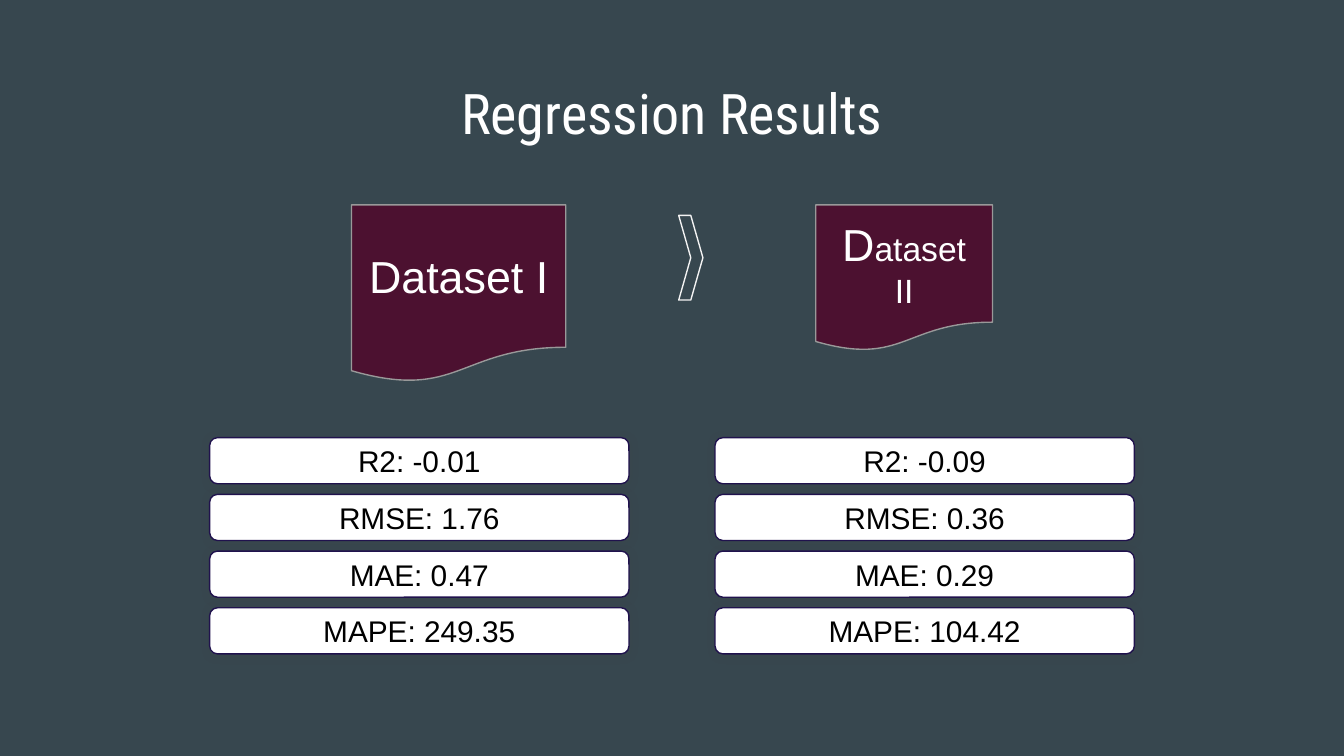
from lxml.etree import SubElement
from pptx import Presentation
from pptx.dml.color import RGBColor
from pptx.enum.shapes import MSO_SHAPE
from pptx.enum.text import MSO_ANCHOR, PP_ALIGN
from pptx.oxml.ns import qn
from pptx.util import Inches, Pt

SLATE = RGBColor(0x37, 0x47, 0x4F)
WINE = RGBColor(0x4C, 0x11, 0x30)
GREY = RGBColor(0x99, 0x99, 0x99)
PALE = RGBColor(0xF3, 0xF3, 0xF3)
INDIGO = RGBColor(0x20, 0x12, 0x4D)
CHARCOAL = RGBColor(0x43, 0x43, 0x43)
WHITE = RGBColor(0xFF, 0xFF, 0xFF)
BLACK = RGBColor(0x00, 0x00, 0x00)

deck = Presentation()
deck.slide_width = Inches(10)
deck.slide_height = deck.slide_width * 9 // 16
COLUMN = deck.slide_width / 100
ROW = deck.slide_height / 100
slide = deck.slides.add_slide(deck.slide_layouts[6])
slide.background.fill.solid()
slide.background.fill.fore_color.rgb = SLATE


def write(holder, *pieces, color, font="Arial", anchor=MSO_ANCHOR.MIDDLE):
    frame = holder.text_frame
    frame.word_wrap = True
    frame.vertical_anchor = anchor
    frame.margin_left = frame.margin_right = Inches(0.1)
    frame.margin_top = frame.margin_bottom = Inches(0.1)
    line = frame.paragraphs[0]
    line.alignment = PP_ALIGN.CENTER
    for words, size in pieces:
        piece = line.add_run()
        piece.text = words
        piece.font.name = font
        piece.font.size = Pt(size)
        piece.font.color.rgb = color


def draw(kind, left, top, width, height, fill, outline):
    figure = slide.shapes.add_shape(
        kind, *(round(n) for n in (left * COLUMN, top * ROW, width * COLUMN, height * ROW)))
    figure.shadow.inherit = False
    if fill is None:
        figure.fill.background()
    else:
        figure.fill.solid()
        figure.fill.fore_color.rgb = fill
    figure.line.color.rgb = outline
    figure.line.width = Pt(0.75)
    return figure


title = slide.shapes.add_textbox(
    *(round(n) for n in (3.4 * COLUMN, 8.6 * ROW, 93.2 * COLUMN, 11.2 * ROW)))
write(title, ("Regression Results", 30), color=WHITE,
      font="Roboto Condensed", anchor=MSO_ANCHOR.TOP)

datasets = [
    (26.15, 15.95, 23.5, [("Dataset I", 24)]),
    (60.7, 13.15, 19.35, [("D", 24), ("ataset II", 18)]),
]
for left, width, height, label in datasets:
    banner = draw(MSO_SHAPE.FLOWCHART_DOCUMENT, left, 27.1, width, height, WINE, GREY)
    write(banner, *label, color=WHITE)

draw(MSO_SHAPE.CHEVRON, 50.5, 28.5, 1.8, 11.2, None, PALE)

METRICS = ["R2", "RMSE", "MAE", "MAPE"]
scores = [
    (53.2, ["-0.09", "0.36", "0.29", "104.42"]),
    (15.6, ["-0.01", "1.76", "0.47", "249.35"]),
]
for left, values in scores:
    for step, (metric, value) in enumerate(zip(METRICS, values)):
        score = draw(MSO_SHAPE.ROUNDED_RECTANGLE, left, 57.9 + 7.5 * step, 31.2, 6.1,
                     WHITE, INDIGO)
        score.adjustments[0] = 0.17
        effects = score._element.spPr.find(qn("a:effectLst"))
        glow = SubElement(effects, qn("a:outerShdw"), blurRad=str(Pt(4.5)),
                          dist=str(Pt(0.75)), dir=str(71 * 60000),
                          algn="bl", rotWithShape="0")
        tint = SubElement(glow, qn("a:srgbClr"), val=str(CHARCOAL))
        SubElement(tint, qn("a:alpha"), val="23000")
        write(score, (f"{metric}: {value}", 16), color=BLACK)

deck.save("out.pptx")
